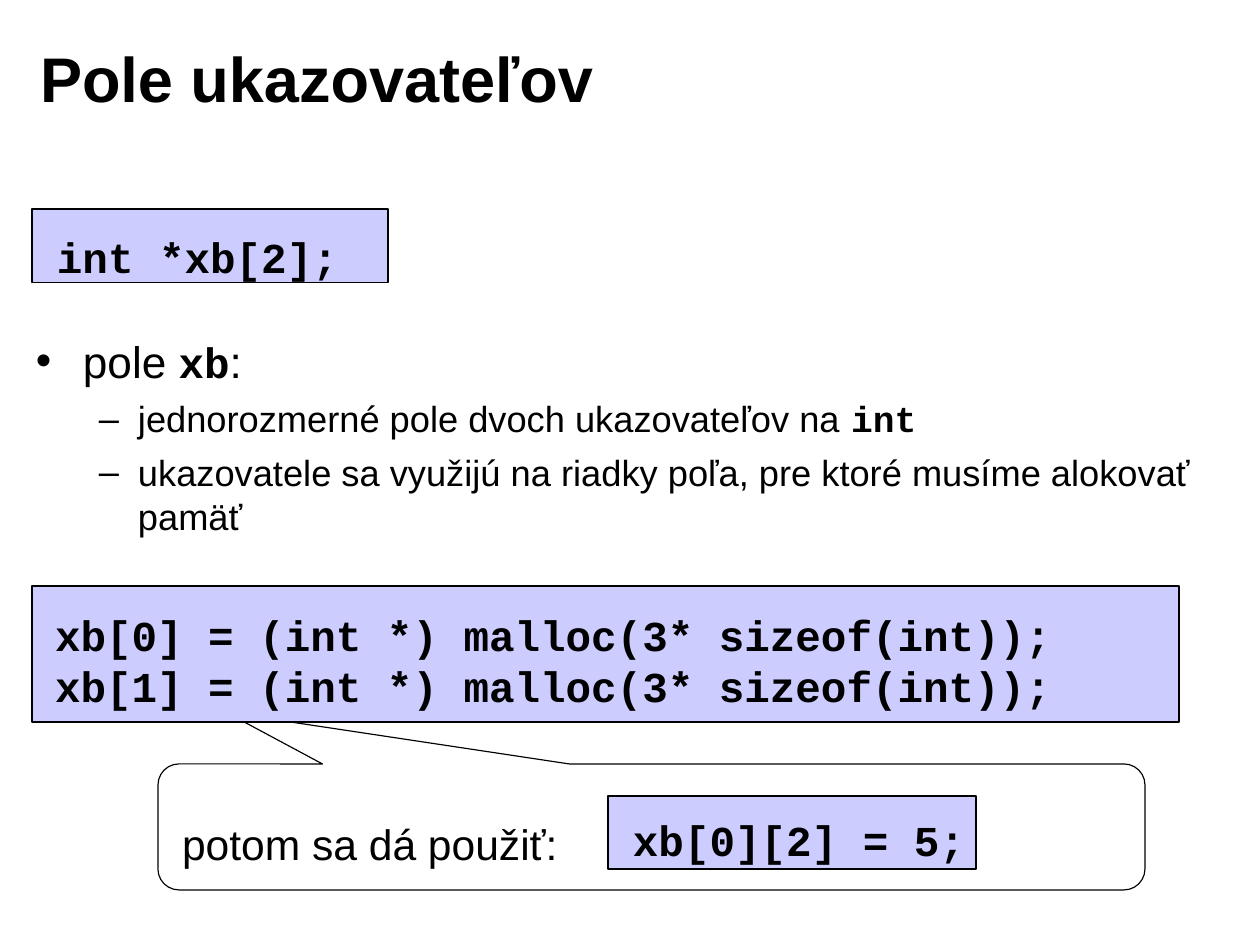
from dataclasses import dataclass

from lxml.etree import SubElement
from pptx import Presentation
from pptx.dml.color import RGBColor
from pptx.enum.shapes import MSO_SHAPE as Preset
from pptx.enum.text import MSO_ANCHOR as Anchor, PP_ALIGN as Align
from pptx.oxml.ns import qn
from pptx.util import Emu, Pt

PIXEL = 914400 / 113.5
BLACK, WHITE, LILAC = "000000", "FFFFFF", "CCCCFF"
SANS, MONO = "Arial", "Courier New"


@dataclass
class Box:
    left: int
    top: int
    width: int
    height: int


@dataclass
class Run:
    text: str
    size: float
    font: str = SANS
    bold: bool = False


@dataclass
class Bullet:
    mark: str
    level: int
    margin: int
    hanging: int
    before: float
    line: float
    runs: list[Run]


@dataclass
class CodeBox:
    box: Box
    inset_left: int
    inset_top: int
    lines: list[str]


def px(pixels: float) -> Emu:
    return Emu(round(pixels * PIXEL))


def color(value: str) -> RGBColor:
    return RGBColor.from_string(value)


def place(shape, box: Box) -> None:
    shape.left, shape.top = px(box.left), px(box.top)
    shape.width, shape.height = px(box.width), px(box.height)


def set_frame(frame, left: int, top: int, anchor=Anchor.TOP, wrap: bool = True) -> None:
    frame.word_wrap = wrap
    frame.vertical_anchor = anchor
    frame.margin_left, frame.margin_top = px(left), px(top)
    frame.margin_right, frame.margin_bottom = px(12), px(6)


def add_runs(paragraph, runs: list[Run]) -> None:
    paragraph.alignment = Align.LEFT
    for item in runs:
        run = paragraph.add_run()
        run.text = item.text
        run.font.name, run.font.size = item.font, Pt(item.size)
        run.font.bold = item.bold
        run.font.color.rgb = color(BLACK)


def paragraph_at(frame, index: int):
    return frame.add_paragraph() if index else frame.paragraphs[0]


def add_panel(slide, preset, box: Box, fill: str):
    shape = slide.shapes.add_shape(preset, 0, 0, 0, 0)
    place(shape, box)
    shape.shadow.inherit = False
    shape.fill.solid()
    shape.fill.fore_color.rgb = color(fill)
    shape.line.color.rgb = color(BLACK)
    shape.line.width = Pt(0.74)
    return shape


def add_code(slide, code: CodeBox) -> None:
    frame = add_panel(slide, Preset.RECTANGLE, code.box, LILAC).text_frame
    set_frame(frame, code.inset_left, code.inset_top, wrap=False)
    for index, line in enumerate(code.lines):
        paragraph = paragraph_at(frame, index)
        paragraph.line_spacing = Pt(32.4)
        add_runs(paragraph, [Run(line, 27, MONO, True)])


def add_bullets(slide, box: Box, bullets: list[Bullet]) -> None:
    frame = slide.shapes.add_textbox(0, 0, 0, 0)
    place(frame, box)
    frame = frame.text_frame
    set_frame(frame, 12, 7)
    for index, bullet in enumerate(bullets):
        paragraph = paragraph_at(frame, index)
        paragraph.level = bullet.level
        paragraph.space_before = Pt(bullet.before)
        paragraph.line_spacing = Pt(bullet.line)
        properties = paragraph._p.get_or_add_pPr()
        properties.set("marL", str(px(bullet.margin)))
        properties.set("indent", str(px(-bullet.hanging)))
        SubElement(properties, qn("a:buFont")).set("typeface", SANS)
        SubElement(properties, qn("a:buChar")).set("char", bullet.mark)
        add_runs(paragraph, bullet.runs)


presentation = Presentation()
presentation.slide_width, presentation.slide_height = px(1260), px(942)
slide = presentation.slides.add_slide(presentation.slide_layouts[5])

title = slide.shapes.title
place(title, Box(28, 19, 1011, 116))
set_frame(title.text_frame, 12, 7, Anchor.MIDDLE)
add_runs(title.text_frame.paragraphs[0], [Run("Pole ukazovateľov", 40, bold=True)])

add_bullets(slide, Box(24, 329, 1210, 215), [
    Bullet("•", 0, 47, 47, 3, 32.4,
           [Run("pole ", 28), Run("xb", 27, MONO, True), Run(":", 28)]),
    Bullet("–", 1, 102, 39, 5.8, 27.9,
           [Run("jednorozmerné pole dvoch ukazovateľov na ", 23),
            Run("int", 23, MONO, True)]),
    Bullet("–", 1, 102, 39, 5.8, 27.9,
           [Run("ukazovatele sa využijú na riadky poľa, "
                "pre ktoré musíme alokovať pamäť", 23)]),
])

callout = add_panel(slide, Preset.ROUNDED_RECTANGULAR_CALLOUT, Box(158, 764, 987, 126), WHITE)
for index, value in enumerate((-0.431, -0.91, 0.167)):
    callout.adjustments[index] = value
set_frame(callout.text_frame, 18, 48)
add_runs(callout.text_frame.paragraphs[0], [Run("potom sa dá použiť:", 27)])

for code in (
    CodeBox(Box(32, 209, 356, 74), 25, 22, ["int *xb[2];"]),
    CodeBox(Box(32, 586, 1147, 136), 23, 23,
            [f"xb[{row}] = (int *) malloc(3* sizeof(int));" for row in range(2)]),
    CodeBox(Box(608, 796, 368, 73), 25, 18, ["xb[0][2] = 5;"]),
):
    add_code(slide, code)

presentation.save("out.pptx")
